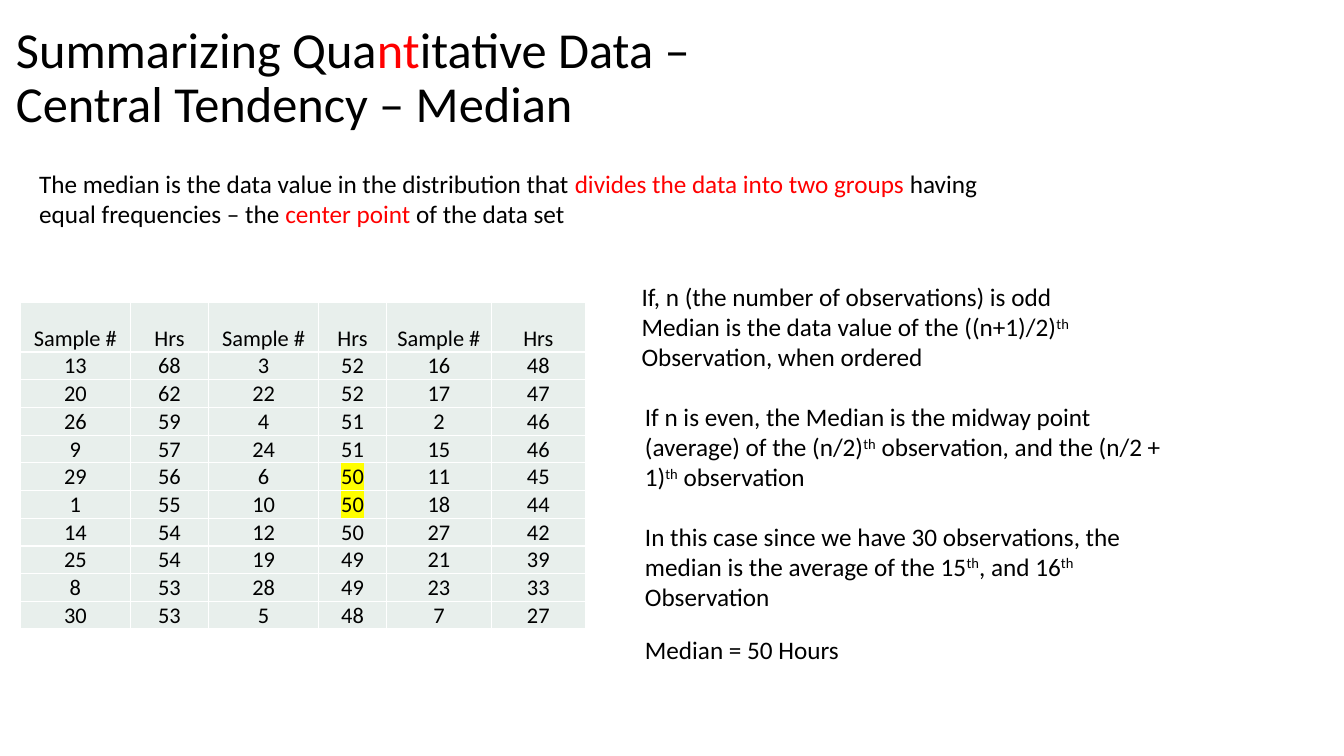
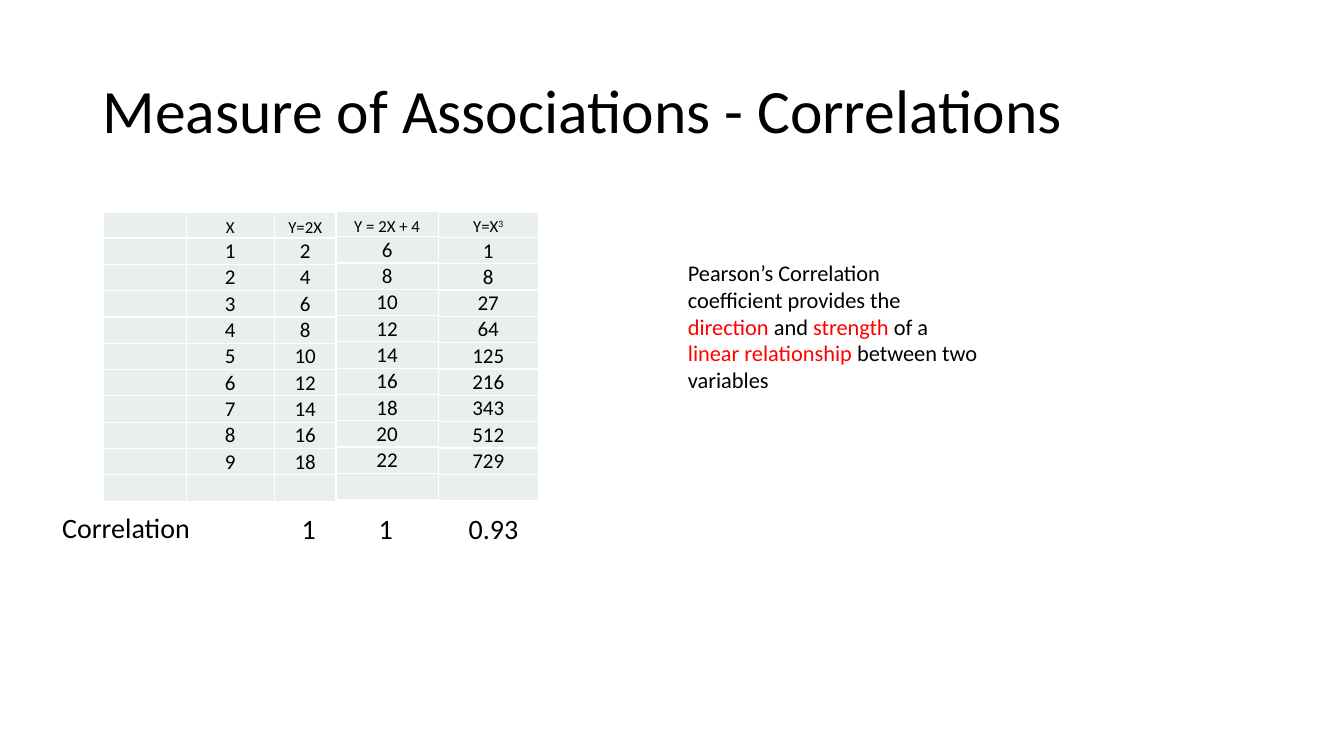
from lxml.etree import SubElement
from pptx import Presentation
from pptx.dml.color import RGBColor
from pptx.enum.text import MSO_ANCHOR as Anchor, PP_ALIGN as Align
from pptx.oxml import parse_xml
from pptx.oxml.ns import nsdecls, qn
from pptx.util import Pt

FONT = "Calibri"
BLACK, RED, WHITE = "000000", "FF0000", "FFFFFF"
CELL_FILL, MARKER = "E8EFEC", "FFFF00"

HOURS = [
    [(13, 68), (3, 52), (16, 48)],
    [(20, 62), (22, 52), (17, 47)],
    [(26, 59), (4, 51), (2, 46)],
    [(9, 57), (24, 51), (15, 46)],
    [(29, 56), (6, 50), (11, 45)],
    [(1, 55), (10, 50), (18, 44)],
    [(14, 54), (12, 50), (27, 42)],
    [(25, 54), (19, 49), (21, 39)],
    [(8, 53), (28, 49), (23, 33)],
    [(30, 53), (5, 48), (7, 27)],
]
MIDDLE_SAMPLES = (6, 10)


def color(hex_code):
    return RGBColor.from_string(hex_code)


def red(text):
    return text, "red"


def raised(text):
    return text, "raised"


def marked(text):
    return text, "marked"


def write(paragraph, parts, size):
    for part in parts:
        if part == "\v":
            paragraph.add_line_break()
            continue
        text, style = part if isinstance(part, tuple) else (part, None)
        run = paragraph.add_run()
        run.text = text
        run.font.name = FONT
        run.font.size = Pt(size)
        run.font.color.rgb = color(RED if style == "red" else BLACK)
        properties = run.font._element
        if style == "raised":
            properties.set("baseline", "30000")
        elif style == "marked":
            properties.find(qn("a:solidFill")).addnext(parse_xml(
                f'<a:highlight {nsdecls("a")}><a:srgbClr val="{MARKER}"/></a:highlight>'))


def add_text(slide, left, top, width, height, size, *paragraphs):
    frame = slide.shapes.add_textbox(Pt(left), Pt(top), Pt(width), Pt(height)).text_frame
    frame.word_wrap = True
    for index, parts in enumerate(paragraphs):
        paragraph = frame.add_paragraph() if index else frame.paragraphs[0]
        write(paragraph, parts, size)
    return frame


def add_title(slide, left, top, size, *parts):
    frame = add_text(slide, left, top, 828, 104.4, size, parts)
    frame.vertical_anchor = Anchor.MIDDLE
    frame.paragraphs[0].line_spacing = 0.9


def add_center_tabs(paragraph, stops):
    tabs = SubElement(paragraph._p.get_or_add_pPr(), qn("a:tabLst"))
    for stop in stops:
        SubElement(tabs, qn("a:tab"), pos=str(Pt(stop)), algn="ctr")


def style_cell(cell, parts, size):
    cell.margin_left = cell.margin_right = Pt(0.7)
    cell.margin_top, cell.margin_bottom = Pt(0.4), Pt(0)
    cell.vertical_anchor = Anchor.BOTTOM
    cell.fill.solid()
    cell.fill.fore_color.rgb = color(CELL_FILL)
    for position, side in enumerate(("lnL", "lnR", "lnT", "lnB")):
        cell._tc.tcPr.insert(position, parse_xml(
            f'<a:{side} {nsdecls("a")} w="{Pt(1)}"><a:solidFill>'
            f'<a:srgbClr val="{WHITE}"/></a:solidFill></a:{side}>'))
    paragraph = cell.text_frame.paragraphs[0]
    paragraph.alignment = Align.CENTER
    write(paragraph, parts, size)
    if not parts:
        SubElement(paragraph._p, qn("a:endParaRPr"), sz=str(size * 100))


def add_grid(slide, left, top, widths, rows, header_height, row_height, header_size, size):
    heights = [header_height] + [row_height] * (len(rows) - 1)
    table = slide.shapes.add_table(len(rows), len(widths), Pt(left), Pt(top),
                                   Pt(sum(widths)), Pt(sum(heights))).table
    table.first_row = table.horz_banding = False
    for column, width in zip(table.columns, widths):
        column.width = Pt(width)
    for index, (row, height, cells) in enumerate(zip(table.rows, heights, rows)):
        row.height = Pt(height)
        for cell, parts in zip(row.cells, cells):
            style_cell(cell, parts, size if index else header_size)


def build_median(slide):
    add_title(slide, 4.3, 4.3, 36, "Summarizing Qua", red("nt"), "itative Data –", "\v",
              "Central Tendency – Median")
    add_text(slide, 20.9, 116.6, 720, 51, 18, [
        "The median is the data value in the distribution that ",
        red("divides the data into two groups "), "having equal frequencies – the ",
        red("center point "), "of the data set"])

    rows = [[["Sample #"], ["Hrs"]] * 3]
    for pairs in HOURS:
        cells = []
        for sample, hours in pairs:
            value = marked(str(hours)) if sample in MIDDLE_SAMPLES else str(hours)
            cells += [[str(sample)], [value]]
        rows.append(cells)
    add_grid(slide, 14.6, 216, (78.5, 56, 78.5, 48.5, 75, 67), rows, 35.5, 19.8, 16, 16)

    add_text(slide, 451.2, 197.3, 378.7, 72.7, 18,
             ["If, n (the number of observations) is odd"],
             ["Median is the data value of the ((n+1)/2)", raised("th "),
              "Observation, when ordered"])
    add_text(slide, 453.6, 283, 386.6, 72.7, 18, [
        "If n is even, the Median is the midway point (average) of the (n/2)", raised("th"),
        " observation, and the (n/2 + 1)", raised("th"), " observation"])
    add_text(slide, 453.6, 368.6, 403.9, 72.7, 18, [
        "In this case since we have 30 observations, the median is the average of the 15",
        raised("th"), ", and 16", raised("th"), " Observation"])
    add_text(slide, 453.6, 449.3, 388, 29, 18, ["Median = 50 Hours"])


def build_correlations(slide):
    add_title(slide, 66.2, 28.8, 44, "Measure of Associations - Correlations")

    numbers = range(1, 10)
    groups = [
        (152, (59, 63, 44), [[], ["X"], ["Y=2X"]],
         [[[], [str(x)], [str(2 * x)]] for x in numbers]),
        (151, (73,), [["Y = 2X + 4"]], [[[str(2 * x + 4)]] for x in numbers]),
        (151.6, (71.5,), [["Y=X", raised("3")]], [[[str(x ** 3)]] for x in numbers]),
    ]
    left = 74
    for top, widths, header, body in groups:
        rows = [header, *body, [[] for _ in widths]]
        add_grid(slide, left, top, widths, rows, 18, 18.8, 12, 15)
        left += sum(widths)

    add_text(slide, 37.4, 361.4, 119.5, 31.5, 20, ["Correlation"])
    results = add_text(slide, 122.4, 361.8, 261.4, 31.5, 20, ["\t1\t1\t0.93"])
    add_center_tabs(results.paragraphs[0], (91, 146, 223))

    add_text(slide, 484.3, 181.4, 221, 104.4, 16, [
        "Pearson’s Correlation coefficient provides the ", red("direction "), "and ",
        red("strength"), " of a ", red("linear relationship "), "between two variables"])


def main():
    deck = Presentation()
    deck.slide_width, deck.slide_height = Pt(960), Pt(540)
    for build in (build_median, build_correlations):
        build(deck.slides.add_slide(deck.slide_layouts[6]))
    deck.save("out.pptx")


if __name__ == "__main__":
    main()
